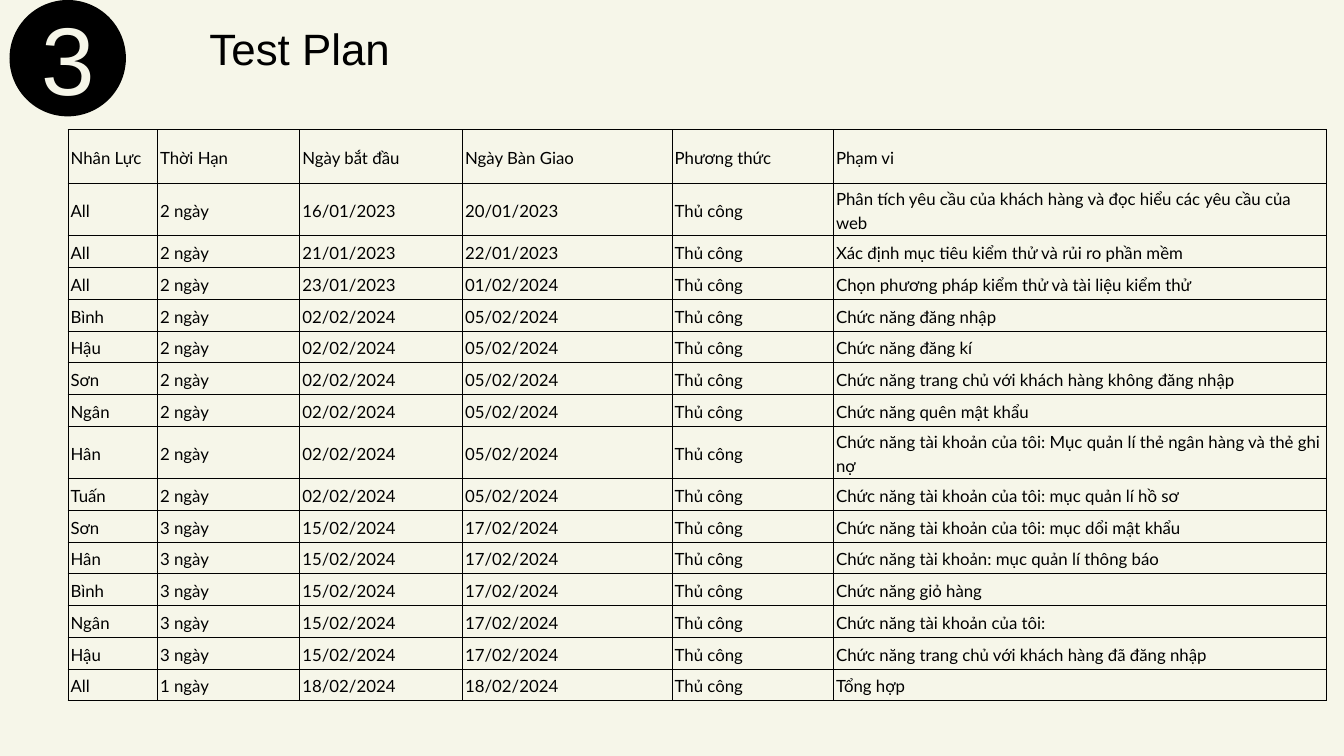
from lxml.etree import SubElement
from pptx import Presentation
from pptx.dml.color import RGBColor
from pptx.enum.shapes import MSO_SHAPE
from pptx.enum.text import MSO_ANCHOR, MSO_AUTO_SIZE, PP_ALIGN
from pptx.oxml.ns import qn
from pptx.util import Cm, Pt

COLORS = {"background": "F6F6E9", "ink": "000000"}

COLUMN_WIDTHS = [3.38, 5.38, 6.15, 7.92, 6.1, 18.64]
HEADER_HEIGHT = 2.03
ROW_HEIGHT = 1.2
CELL_MARGIN = 0.1
BORDER_WIDTH = 0.75

HEADERS = ["Nhân Lực", "Thời Hạn", "Ngày bắt đầu", "Ngày Bàn Giao", "Phương thức", "Phạm vi"]
METHOD = "Thủ công"
# Person, duration, start date, delivery date, scope
TASKS = [
    ("All", "2 ngày", "16/01/2023", "20/01/2023",
     "Phân tích yêu cầu của khách hàng và đọc hiểu các yêu cầu của web"),
    ("All", "2 ngày", "21/01/2023", "22/01/2023", "Xác định mục tiêu kiểm thử và rủi ro phần mềm"),
    ("All", "2 ngày", "23/01/2023", "01/02/2024", "Chọn phương pháp kiểm thử và tài liệu kiểm thử"),
    ("Bình", "2 ngày", "02/02/2024", "05/02/2024", "Chức năng đăng nhập"),
    ("Hậu", "2 ngày", "02/02/2024", "05/02/2024", "Chức năng đăng kí"),
    ("Sơn", "2 ngày", "02/02/2024", "05/02/2024",
     "Chức năng trang chủ với khách hàng không đăng nhập"),
    ("Ngân", "2 ngày", "02/02/2024", "05/02/2024", "Chức năng quên mật khẩu"),
    ("Hân", "2 ngày", "02/02/2024", "05/02/2024",
     "Chức năng tài khoản của tôi: Mục quản lí thẻ ngân hàng và thẻ ghi nợ"),
    ("Tuấn", "2 ngày", "02/02/2024", "05/02/2024",
     "Chức năng tài khoản của tôi: mục quản lí hồ sơ"),
    ("Sơn", "3 ngày", "15/02/2024", "17/02/2024",
     "Chức năng tài khoản của tôi: mục dổi mật khẩu"),
    ("Hân", "3 ngày", "15/02/2024", "17/02/2024", "Chức năng tài khoản: mục quản lí thông báo"),
    ("Bình", "3 ngày", "15/02/2024", "17/02/2024", "Chức năng giỏ hàng"),
    ("Ngân", "3 ngày", "15/02/2024", "17/02/2024", "Chức năng tài khoản của tôi:"),
    ("Hậu", "3 ngày", "15/02/2024", "17/02/2024",
     "Chức năng trang chủ với khách hàng đã đăng nhập"),
    ("All", "1 ngày", "18/02/2024", "18/02/2024", "Tổng hợp"),
]


def rgb(name):
    return RGBColor.from_string(COLORS[name])


def write_text(text_frame, text, *, size, font="Arial", color="ink",
               align=PP_ALIGN.LEFT, line_spacing=None):
    paragraph = text_frame.paragraphs[0]
    paragraph.alignment = align
    paragraph.line_spacing = Pt(line_spacing or size * 1.4)
    run = paragraph.add_run()
    run.text = text
    run.font.size = Pt(size)
    run.font.name = font
    run.font.color.rgb = rgb(color)


def place_text(shape, left, top, width, height, text, **text_format):
    """Position a text shape, clear its margins and fill in its text."""
    shape.left, shape.top, shape.width, shape.height = map(Cm, (left, top, width, height))
    frame = shape.text_frame
    frame.margin_left = frame.margin_right = frame.margin_top = frame.margin_bottom = 0
    frame.word_wrap = True
    frame.auto_size = MSO_AUTO_SIZE.NONE
    frame.vertical_anchor = MSO_ANCHOR.TOP
    write_text(frame, text, align=PP_ALIGN.CENTER, **text_format)


def add_disc(slide, left, top, diameter):
    disc = slide.shapes.add_shape(MSO_SHAPE.OVAL, Cm(left), Cm(top), Cm(diameter), Cm(diameter))
    disc.shadow.inherit = False
    disc.fill.solid()
    disc.fill.fore_color.rgb = rgb("ink")
    disc.line.fill.background()


def set_borders(cell):
    properties = cell._tc.get_or_add_tcPr()
    for position, side in enumerate(("lnL", "lnR", "lnT", "lnB")):
        line = SubElement(properties, qn(f"a:{side}"), w=str(Pt(BORDER_WIDTH)))
        fill = SubElement(line, qn("a:solidFill"))
        SubElement(fill, qn("a:srgbClr"), val=COLORS["ink"])
        # Borders must precede the cell fill
        properties.insert(position, line)


def format_cell(cell, text):
    cell.margin_left = cell.margin_right = Cm(CELL_MARGIN)
    cell.margin_top = cell.margin_bottom = Cm(CELL_MARGIN)
    cell.vertical_anchor = MSO_ANCHOR.MIDDLE
    cell.fill.background()
    set_borders(cell)
    write_text(cell.text_frame, text, size=18, font="Lato")


def add_plan_table(slide, left, top):
    rows = [HEADERS] + [(*task[:4], METHOD, task[4]) for task in TASKS]
    heights = [HEADER_HEIGHT] + [ROW_HEIGHT] * len(TASKS)
    table = slide.shapes.add_table(len(rows), len(HEADERS), Cm(left), Cm(top),
                                   Cm(sum(COLUMN_WIDTHS)), Cm(sum(heights))).table
    table.first_row = table.horz_banding = False
    for column, width in zip(table.columns, COLUMN_WIDTHS):
        column.width = Cm(width)
    for row, height, texts in zip(table.rows, heights, rows):
        row.height = Cm(height)
        for cell, text in zip(row.cells, texts):
            format_cell(cell, text)


def main():
    presentation = Presentation()
    presentation.slide_width, presentation.slide_height = Cm(50.8), Cm(28.58)
    slide = presentation.slides.add_slide(presentation.slide_layouts[5])
    slide.background.fill.solid()
    slide.background.fill.fore_color.rgb = rgb("background")

    # Title
    place_text(slide.shapes.title, 1.45, 0.5, 19.76, 2.34, "Test Plan", size=47)

    # Section number
    add_disc(slide, 0.36, 0, 4.4)
    number = slide.shapes.add_textbox(0, 0, 0, 0)
    place_text(number, 1.45, -0.76, 2.24, 5.18, "3", size=103, color="background")

    # Schedule
    add_plan_table(slide, 2.57, 4.9)

    presentation.save("out.pptx")


if __name__ == "__main__":
    main()
